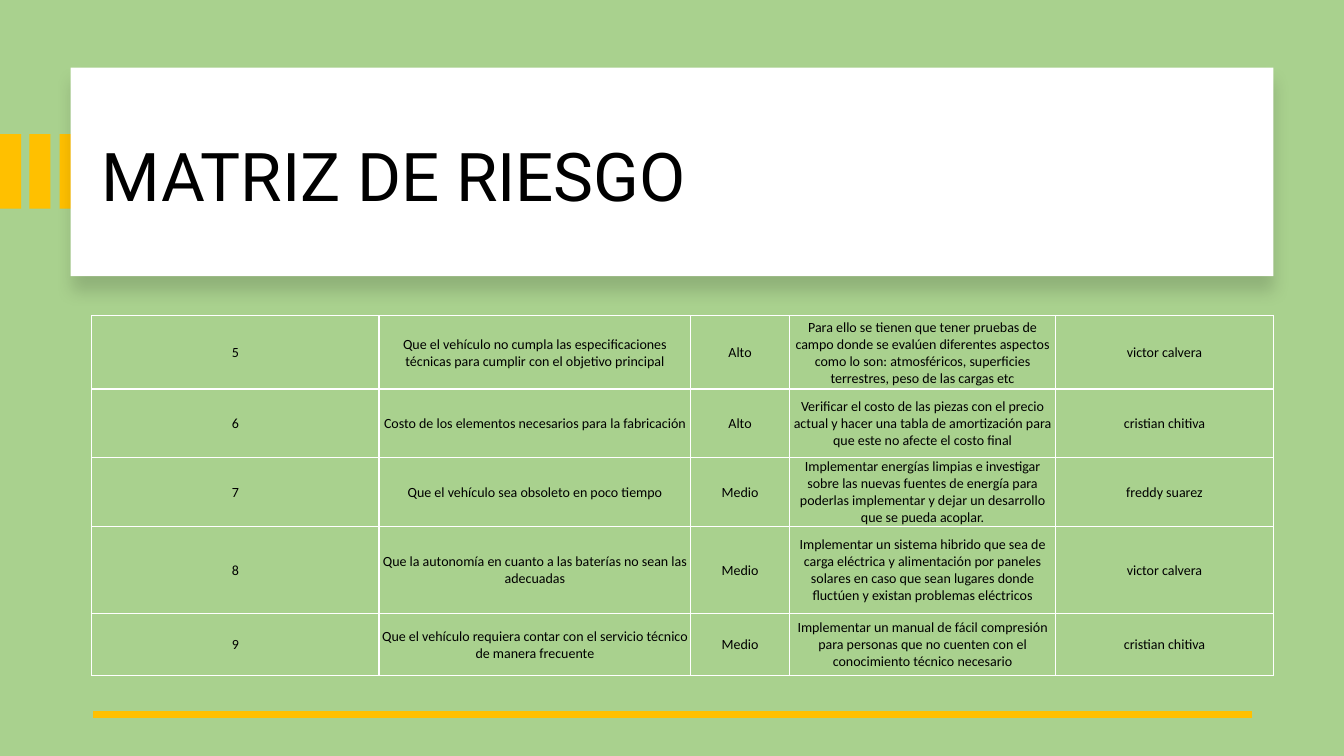
from dataclasses import dataclass

from lxml import etree
from pptx import Presentation
from pptx.dml.color import RGBColor
from pptx.enum import shapes, text
from pptx.oxml import ns
from pptx import util as u

PX = 9144


@dataclass(frozen=True)
class Theme:
    green: str = "A9D18E"
    amber: str = "FFC000"
    white: str = "FFFFFF"
    black: str = "000000"
    title_font: str = "Roboto"
    table_font: str = "Calibri"
    title_size: int = 48
    table_size: int = 10
    border: float = 1
    rule: float = 4.5


THEME = Theme()
COLUMNS = [285, 309, 98, 264, 216]
ROWS = [73, 68, 66, 86, 62]
RISKS = [
    ("5", "Que el vehículo no cumpla las especificaciones técnicas para cumplir con el objetivo principal", "Alto",
     "Para ello se tienen que tener pruebas de campo donde se evalúen diferentes aspectos como lo son: "
     "atmosféricos, superficies terrestres, peso de las cargas etc", "victor calvera"),
    ("6", "Costo de los elementos necesarios para la fabricación", "Alto",
     "Verificar el costo de las piezas con el precio actual y hacer una tabla de amortización para "
     "que este no afecte el costo final", "cristian chitiva"),
    ("7", "Que el vehículo sea obsoleto en poco tiempo", "Medio",
     "Implementar energías limpias e investigar sobre las nuevas fuentes de energía para poderlas "
     "implementar y dejar un desarrollo que se pueda acoplar.", "freddy suarez"),
    ("8", "Que la autonomía en cuanto a las baterías no sean las adecuadas", "Medio",
     "Implementar un sistema hibrido que sea de carga eléctrica y alimentación por paneles solares "
     "en caso que sean lugares donde fluctúen y existan problemas eléctricos", "victor calvera"),
    ("9", "Que el vehículo requiera contar con el servicio técnico de manera frecuente", "Medio",
     "Implementar un manual de fácil compresión para personas que no cuenten con el conocimiento "
     "técnico necesario", "cristian chitiva"),
]


def px(*lengths):
    return [u.Emu(length * PX) for length in lengths]


def color(value):
    return RGBColor.from_string(value)


def add_element(parent, tag, **attributes):
    values = {name: str(value) for name, value in attributes.items()}
    return etree.SubElement(parent, ns.qn(tag), values)


def add_span(para, words, font, size):
    span = para.add_run()
    span.text = words
    span.font.name = font
    span.font.size = u.Pt(size)
    span.font.color.rgb = color(THEME.black)


def add_rectangle(parent, place, fill):
    box = parent.shapes.add_shape(shapes.MSO_SHAPE.RECTANGLE, *px(*place))
    box.shadow.inherit = False
    box.fill.solid()
    box.fill.fore_color.rgb = color(fill)
    box.line.fill.background()
    return box


def add_shadow(box):
    effects = box._element.spPr.find(ns.qn("a:effectLst"))
    shadow = add_element(effects, "a:outerShdw", blurRad=u.Pt(11), dist=u.Pt(10),
                         dir=90 * 60000, algn="t", rotWithShape=0)
    tint = add_element(shadow, "a:srgbClr", val=THEME.black)
    add_element(tint, "a:alpha", val=15000)


def add_stripes(page):
    group = page.shapes.add_group_shape()
    for index in range(3):
        add_rectangle(group, (index * 59 // 2, 133, 21, 74), THEME.amber)


def set_title(page, words):
    title = page.shapes.title
    title.left, title.top, title.width, title.height = px(91, 119, 1113, 118)
    frame = title.text_frame
    frame.auto_size = text.MSO_AUTO_SIZE.NONE
    frame.vertical_anchor = text.MSO_ANCHOR.MIDDLE
    para = frame.paragraphs[0]
    para.alignment = text.PP_ALIGN.LEFT
    para.line_spacing = 0.9
    add_span(para, words, THEME.title_font, THEME.title_size)
    page.shapes._spTree.append(title._element)


def add_rule(page):
    rule = page.shapes.add_connector(shapes.MSO_CONNECTOR.STRAIGHT, *px(1242, 709, 92, 709))
    rule.line.color.rgb = color(THEME.amber)
    rule.line.width = u.Pt(THEME.rule)
    add_element(rule._element.spPr, "a:effectLst")


def fill_cell(cell, words):
    cell.margin_left, cell.margin_top, cell.margin_right, cell.margin_bottom = px(1, 1, 1, 0)
    cell.vertical_anchor = text.MSO_ANCHOR.MIDDLE
    properties = cell._tc.get_or_add_tcPr()
    for side in "LRTB":
        line = add_element(properties, f"a:ln{side}", w=u.Pt(THEME.border))
        add_element(add_element(line, "a:solidFill"), "a:srgbClr", val=THEME.white)
    cell.fill.solid()
    cell.fill.fore_color.rgb = color(THEME.green)
    para = cell.text_frame.paragraphs[0]
    para.alignment = text.PP_ALIGN.CENTER
    add_span(para, words, THEME.table_font, THEME.table_size)


def add_risk_table(page):
    place = px(91, 313, sum(COLUMNS), sum(ROWS))
    table = page.shapes.add_table(len(ROWS), len(COLUMNS), *place).table
    table.first_row = False
    table.horz_banding = False
    for column, width in zip(table.columns, px(*COLUMNS)):
        column.width = width
    for row, height, risk in zip(table.rows, px(*ROWS), RISKS):
        row.height = height
        for cell, words in zip(row.cells, risk):
            fill_cell(cell, words)


def main():
    deck = Presentation()
    deck.slide_width, deck.slide_height = px(1333, 750)
    page = deck.slides.add_slide(deck.slide_layouts[5])
    page.background.fill.solid()
    page.background.fill.fore_color.rgb = color(THEME.green)
    add_stripes(page)
    add_shadow(add_rectangle(page, (70, 67, 1193, 207), THEME.white))
    set_title(page, "MATRIZ DE RIESGO")
    add_rule(page)
    add_risk_table(page)
    deck.save("out.pptx")


if __name__ == "__main__":
    main()
